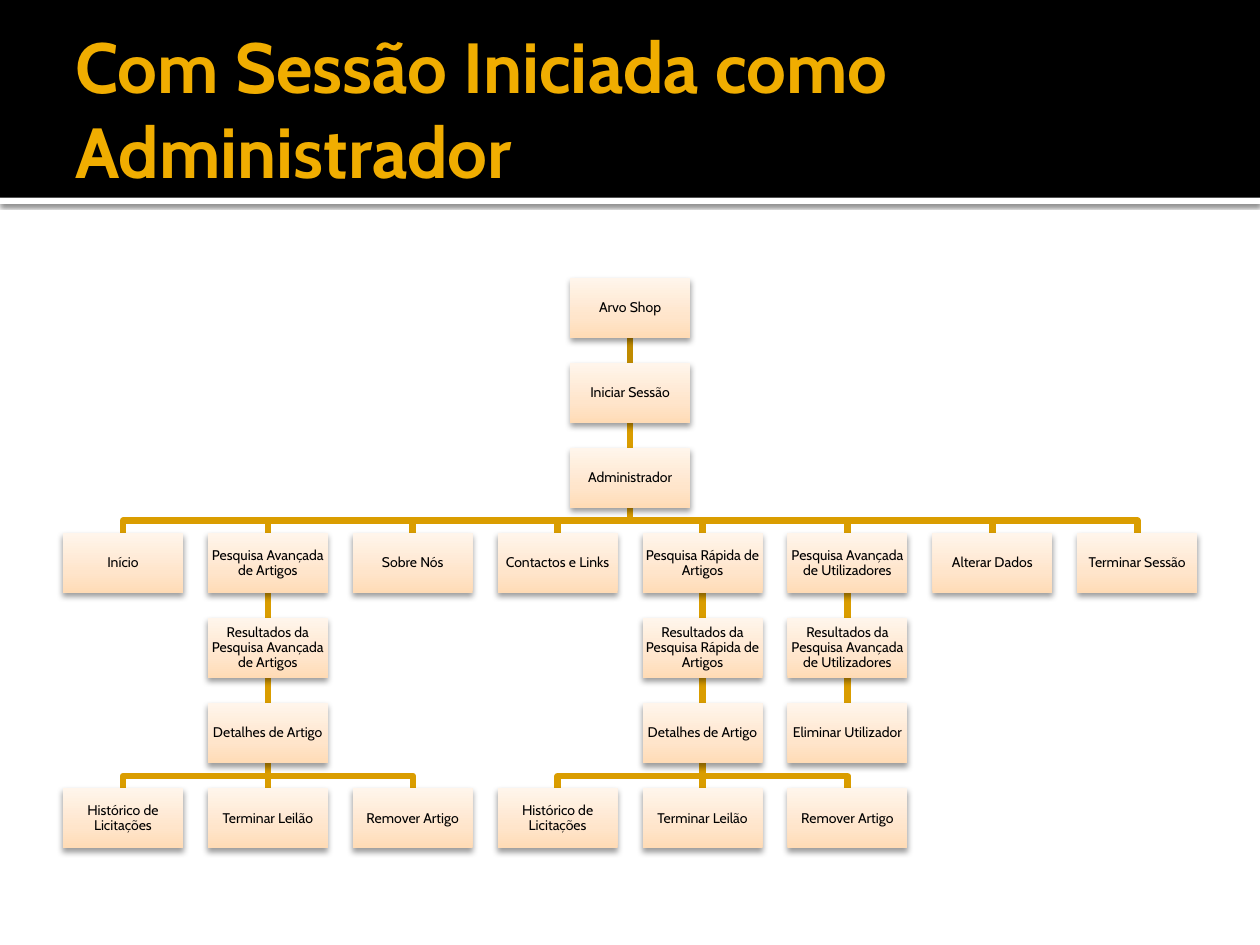
import copy

import pptx
import pptx.dml.color
import pptx.enum.shapes
import pptx.enum.text
import pptx.oxml
import pptx.oxml.ns
import pptx.util

Pt = pptx.util.Pt
SHAPE = pptx.enum.shapes.MSO_SHAPE
LINE = pptx.enum.shapes.MSO_CONNECTOR
ANCHOR = pptx.enum.text.MSO_ANCHOR
ALIGN = pptx.enum.text.PP_ALIGN
qn = pptx.oxml.ns.qn

LEFT, TOP = 36, 159
WIDE, HIGH = 68.6, 34.3
STEP, DROP = 82.8, 48.6
GOLD, DARK = "DA9D00", "C08B00"

# Each node: label, column, children
ITEM = "Detalhes de Artigo"


def details(col):
    return (ITEM, col, [
        ("Histórico de Licitações", col - 1, []),
        ("Terminar Leilão", col, []),
        ("Remover Artigo", col + 1, []),
    ])


def search(kind, col, last):
    name = f"Pesquisa {kind}"
    return (name, col, [(f"Resultados da {name}", col, [last])])


MENU = [
    ("Início", 0, []),
    search("Avançada de Artigos", 1, details(1)),
    ("Sobre Nós", 2, []),
    ("Contactos e Links", 3, []),
    search("Rápida de Artigos", 4, details(4)),
    search("Avançada de Utilizadores", 5, ("Eliminar Utilizador", 5, [])),
    ("Alterar Dados", 6, []),
    ("Terminar Sessão", 7, []),
]
TREE = ("Arvo Shop", 3.5, [("Iniciar Sessão", 3.5, [("Administrador", 3.5, MENU)])])


def rgb(code):
    return pptx.dml.color.RGBColor.from_string(code)


def apply(target, values):
    """Set every attribute named in values on target."""
    for name, value in values.items():
        setattr(target, name, value)


class Deck:
    font = "Cabin"
    grad = [(0, "FFDBB5"), (0.35, "FFE5CB"), (1, "FFF5EB")]

    def __init__(self, wide, high):
        self.prs = pptx.Presentation()
        apply(self.prs, {"slide_width": Pt(wide), "slide_height": Pt(high)})
        self.slide = self.prs.slides.add_slide(self.prs.slide_layouts[6])
        self.shapes = self.slide.shapes

    def rect(self, x, y, w, h, fill=None):
        shape = self.shapes.add_shape(SHAPE.RECTANGLE, Pt(x), Pt(y), Pt(w), Pt(h))
        shape.line.fill.background()
        shape.shadow.inherit = False
        if fill:
            shape.fill.solid()
            shape.fill.fore_color.rgb = rgb(fill)
        return shape

    def shade(self, shape, blur, dist, alpha):
        """Cast a black shadow straight down; alpha is in percent."""
        shape._element.spPr.find(qn("a:effectLst")).append(pptx.oxml.parse_xml(
            f'<a:outerShdw {pptx.oxml.ns.nsdecls("a")} blurRad="{Pt(blur)}" '
            f'dist="{Pt(dist)}" dir="5400000" algn="t" rotWithShape="0">'
            f'<a:srgbClr val="000000"><a:alpha val="{alpha * 1000}"/></a:srgbClr>'
            '</a:outerShdw>'))

    def label(self, shape, text, size, color, pads, bold=False, **para):
        frame = shape.text_frame
        sides = ("margin_left", "margin_top", "margin_right", "margin_bottom")
        apply(frame, {"word_wrap": True, "vertical_anchor": ANCHOR.MIDDLE})
        apply(frame, dict(zip(sides, map(Pt, pads))))
        line = frame.paragraphs[0]
        apply(line, para)
        run = line.add_run()
        run.text = text
        apply(run.font, {"name": self.font, "size": Pt(size), "bold": bold})
        run.font.color.rgb = rgb(color)

    def title(self, text, x, y, w, h):
        box = self.shapes.add_textbox(Pt(x), Pt(y), Pt(w), Pt(h))
        self.label(box, text, 40.5, "F0AD00", (7.2, 3.6, 3.6, 3.6), bold=True)

    def box(self, text, x, y):
        shape = self.rect(x, y, WIDE, HIGH)
        fill = shape.fill
        fill.gradient()
        fill.gradient_angle = 90
        stops = shape._element.spPr.find(".//" + qn("a:gsLst"))
        stops.append(copy.deepcopy(stops[0]))
        for stop, (place, color) in zip(fill.gradient_stops, self.grad):
            stop.position = place
            stop.color.rgb = rgb(color)
        self.shade(shape, 3.5, 2, 38)
        self.label(shape, text, 8, "000000", [0.7] * 4,
                   alignment=ALIGN.CENTER, line_spacing=0.9)

    def link(self, x, y, to_x, to_y, color):
        """Join two points, with a bend halfway down if they are not aligned."""
        if x == to_x:
            line = self.shapes.add_connector(
                LINE.STRAIGHT, Pt(x), Pt(y), Pt(to_x), Pt(to_y))
            props = line._element.spPr
            props.append(props.makeelement(qn("a:effectLst"), {}))
        else:
            mid = (y + to_y) / 2
            pen = self.shapes.build_freeform(Pt(x), Pt(y))
            pen.add_line_segments(
                [(Pt(a), Pt(b)) for a, b in ((x, mid), (to_x, mid), (to_x, to_y))],
                close=False)
            line = pen.convert_to_shape()
            line.fill.background()
            line.shadow.inherit = False
        line.line.width = Pt(3.78)
        line.line.color.rgb = rgb(color)

    def tree(self, node, row=0):
        """Draw a node over its links, then everything below it."""
        text, col, kids = node
        x, y = LEFT + col * STEP, TOP + row * DROP
        for kid in kids:
            self.link(x + WIDE / 2, y + HIGH, LEFT + kid[1] * STEP + WIDE / 2,
                      y + DROP, GOLD if row else DARK)
        self.box(text, x, y)
        for kid in kids:
            self.tree(kid, row + 1)


def main():
    deck = Deck(720, 540)
    strip = deck.rect(0, 113, 720, 3.6, "FFFFFF")
    deck.shade(strip, 2.5, 0.8, 60)
    deck.rect(0, 0, 720, 113, "000000")
    deck.title("Com Sessão Iniciada como Administrador", 36, 12.2, 648, 98.6)
    deck.tree(TREE)
    deck.prs.save("out.pptx")


if __name__ == "__main__":
    main()
